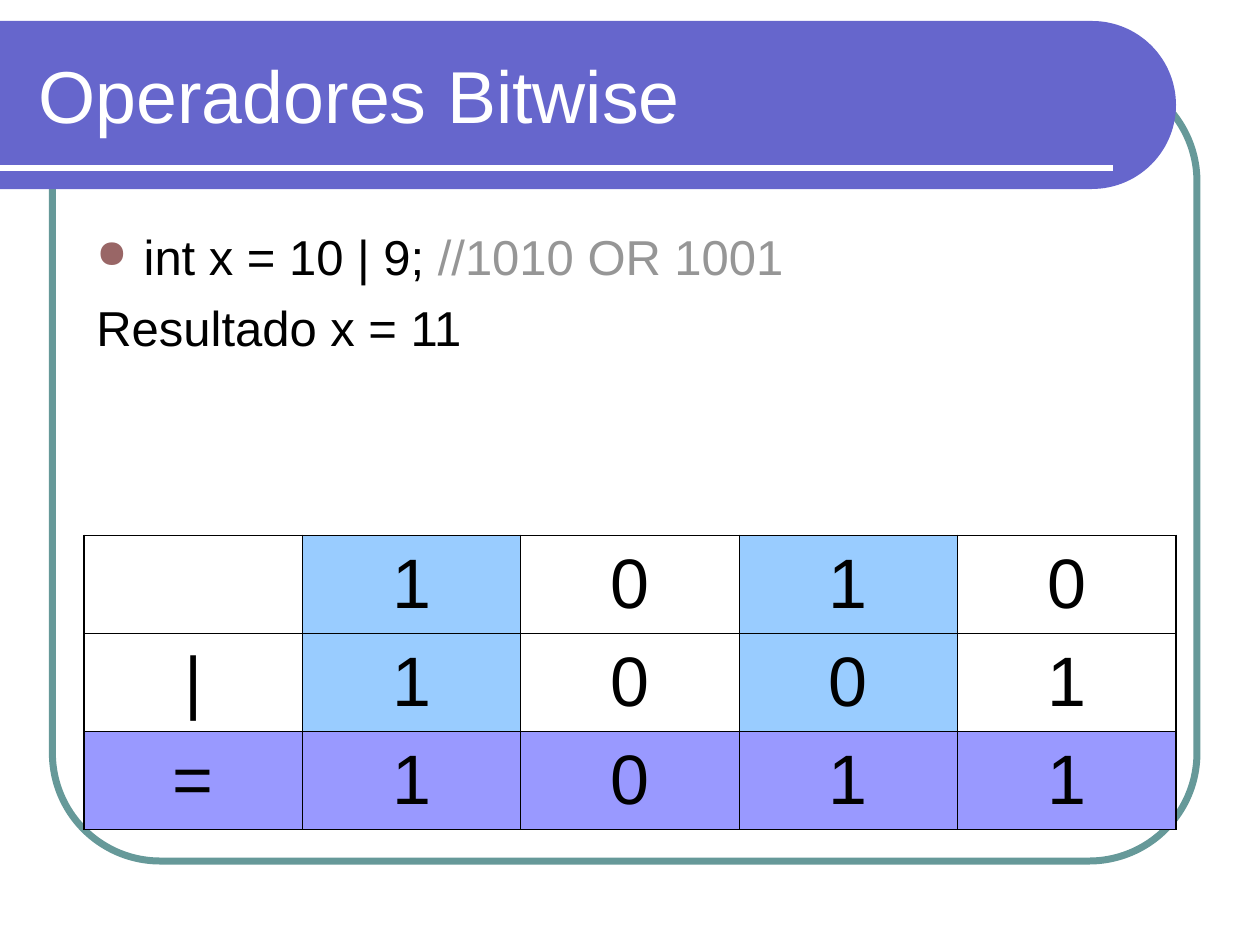
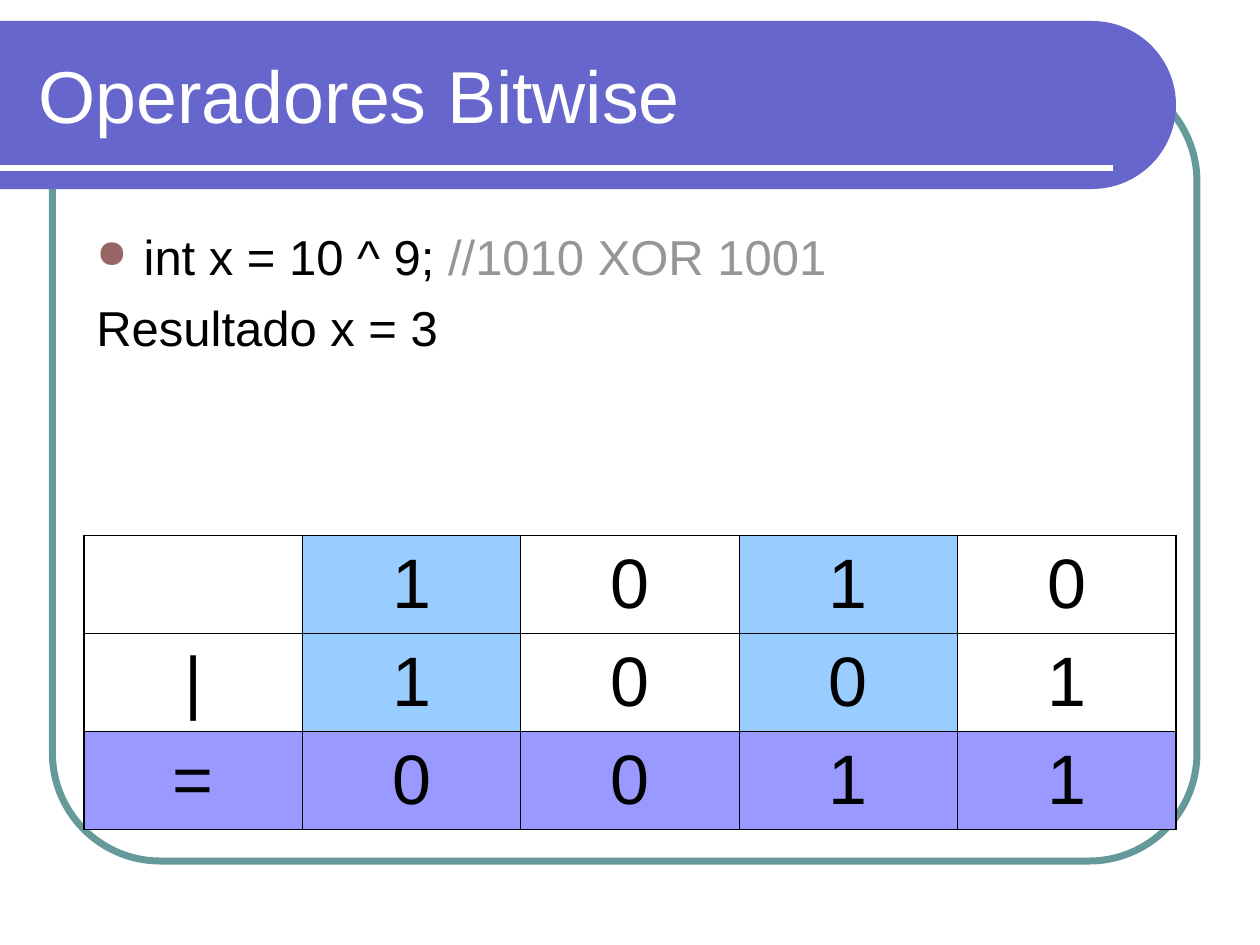
from math import cos, pi, sin
from typing import NamedTuple

from lxml.etree import SubElement
from pptx import Presentation
from pptx.dml.color import RGBColor
from pptx.enum.shapes import MSO_CONNECTOR as CONN, MSO_SHAPE as SHAPE
from pptx.enum.text import MSO_ANCHOR as ANCHOR, PP_ALIGN as ALIGN
from pptx.oxml.ns import qn
from pptx.util import Emu, Inches, Pt

# Colours and font
WHITE = RGBColor(0xFF, 0xFF, 0xFF)
BLACK = RGBColor(0x00, 0x00, 0x00)
GREY = RGBColor(0x96, 0x96, 0x96)
TEAL = RGBColor(0x66, 0x99, 0x99)
INDIGO = RGBColor(0x66, 0x66, 0xCC)
BROWN = RGBColor(0x99, 0x66, 0x66)
SKY = RGBColor(0x99, 0xCC, 0xFF)
LILAC = RGBColor(0x99, 0x99, 0xFF)
FONT = "Arial"

# Grid of 120 columns by 90 rows
SLIDE_W, SLIDE_H = Inches(10), Inches(7.5)
COLS, ROWS = 120, 90


class Box(NamedTuple):
    col: float
    row: float
    cols: float
    rows: float

    def emu(self) -> list[Emu]:
        return [across(self.col), down(self.row), across(self.cols), down(self.rows)]


class Operation(NamedTuple):
    code: str
    comment: str
    result: str
    bits: tuple[str, str, str]


FRAME = Box(5, 7, 109, 75)
BANNER = Box(0, 2, 112, 16)
TITLE = Box(2.5, 3, 105.25, 12)
BODY = Box(8, 21, 104, 28)
TABLE = Box(8, 51, 104, 28)
RULE_ROW, RULE_END = 16, 106
HEADING = "Operadores Bitwise"
HIGHLIGHTED_COLS = (1, 3)
INNER, OUTER = Pt(0.45), Pt(1.08)

OPERATIONS = [
    Operation("int x = 10 | 9; ", "//1010 OR 1001", "Resultado x = 11",
              (" 1010", "|1001", "=1011")),
    Operation("int x = 10 ^ 9; ", "//1010 XOR 1001", "Resultado x = 3",
              (" 1010", "|1001", "=0011")),
]


def across(cols: float) -> Emu:
    return Emu(round(SLIDE_W * cols / COLS))


def down(rows: float) -> Emu:
    return Emu(round(SLIDE_H * rows / ROWS))


def add_run(p, text: str, *, size: float = 28, color: RGBColor = BLACK) -> None:
    r = p.add_run()
    r.text = text
    r.font.name, r.font.size = FONT, Pt(size)
    r.font.color.rgb = color


def add_text_box(slide, box: Box, anchor=ANCHOR.TOP):
    tf = slide.shapes.add_textbox(*box.emu()).text_frame
    tf.word_wrap = True
    tf.vertical_anchor = anchor
    return tf


# Frame, banner and rule behind every slide
def draw_background(slide) -> None:
    sp = slide.shapes.add_shape(SHAPE.ROUNDED_RECTANGLE, *FRAME.emu())
    sp.adjustments[0] = 0.137
    sp.shadow.inherit = False
    sp.fill.background()
    sp.line.color.rgb, sp.line.width = TEAL, Pt(4)

    radius, steps = BANNER.rows / 2, 60
    center_col, center_row = BANNER.cols - radius, BANNER.row + radius
    angles = [pi * (i / steps - 0.5) for i in range(steps + 1)]
    arc = [(across(center_col + radius * cos(a)), down(center_row + radius * sin(a)))
           for a in angles]
    builder = slide.shapes.build_freeform(0, down(BANNER.row))
    builder.add_line_segments(arc + [(0, down(BANNER.row + BANNER.rows))])
    sp = builder.convert_to_shape()
    sp.shadow.inherit = False
    sp.fill.solid()
    sp.fill.fore_color.rgb = INDIGO
    sp.line.fill.background()

    y = down(RULE_ROW)
    rule = slide.shapes.add_connector(CONN.STRAIGHT, 0, y, across(RULE_END), y)
    rule.line.color.rgb, rule.line.width = WHITE, Pt(3)
    SubElement(rule._element.spPr, qn("a:effectLst"))


def draw_title(slide) -> None:
    tf = add_text_box(slide, TITLE, ANCHOR.MIDDLE)
    add_run(tf.paragraphs[0], HEADING, size=42, color=WHITE)


# Code line with a bullet, then the result
def draw_body(slide, op: Operation) -> None:
    tf = add_text_box(slide, BODY)
    code, result = tf.paragraphs[0], tf.add_paragraph()
    for p in (code, result):
        p.space_before = Pt(7)
        pPr = p._p.get_or_add_pPr()
        pPr.set("marL", str(across(4.5)))
        pPr.set("indent", str(-across(4.5)))
    pPr = code._p.get_or_add_pPr()
    SubElement(SubElement(pPr, qn("a:buClr")), qn("a:srgbClr"), val=str(BROWN))
    SubElement(pPr, qn("a:buSzPct"), val="80000")
    SubElement(pPr, qn("a:buChar"), char="●")
    add_run(code, op.code)
    add_run(code, op.comment, color=GREY)
    add_run(result, op.result)


def set_borders(cell, **widths: Emu) -> None:
    tcPr = cell._tc.get_or_add_tcPr()
    for side, width in widths.items():
        ln = SubElement(tcPr, qn(f"a:ln{side}"), w=str(width))
        SubElement(SubElement(ln, qn("a:solidFill")), qn("a:srgbClr"), val=str(BLACK))


# Bit table: operands above, result in the last row
def draw_bits(slide, bits: tuple[str, str, str]) -> None:
    n_rows, n_cols = len(bits), len(bits[0])
    table = slide.shapes.add_table(n_rows, n_cols, *TABLE.emu()).table
    table.first_row = table.horz_banding = False
    for column in table.columns:
        column.width = across(TABLE.cols / n_cols)
    for i, line in enumerate(bits):
        table.rows[i].height = down(TABLE.rows / n_rows)
        last = i == n_rows - 1
        for j, symbol in enumerate(line):
            cell = table.cell(i, j)
            set_borders(cell,
                        L=OUTER if j == 0 else INNER,
                        R=OUTER if j == n_cols - 1 else INNER,
                        T=OUTER if i == 0 else INNER,
                        B=OUTER if last else INNER)
            if last or j in HIGHLIGHTED_COLS:
                cell.fill.solid()
                cell.fill.fore_color.rgb = LILAC if last else SKY
            else:
                cell.fill.background()
            cell.vertical_anchor = ANCHOR.MIDDLE
            if symbol.strip():
                p = cell.text_frame.paragraphs[0]
                p.alignment = ALIGN.CENTER
                add_run(p, symbol, size=40)


def main() -> None:
    prs = Presentation()
    prs.slide_width, prs.slide_height = SLIDE_W, SLIDE_H
    for op in OPERATIONS:
        slide = prs.slides.add_slide(prs.slide_layouts[6])
        draw_background(slide)
        draw_title(slide)
        draw_body(slide, op)
        draw_bits(slide, op.bits)
    prs.save("out.pptx")


if __name__ == "__main__":
    main()
